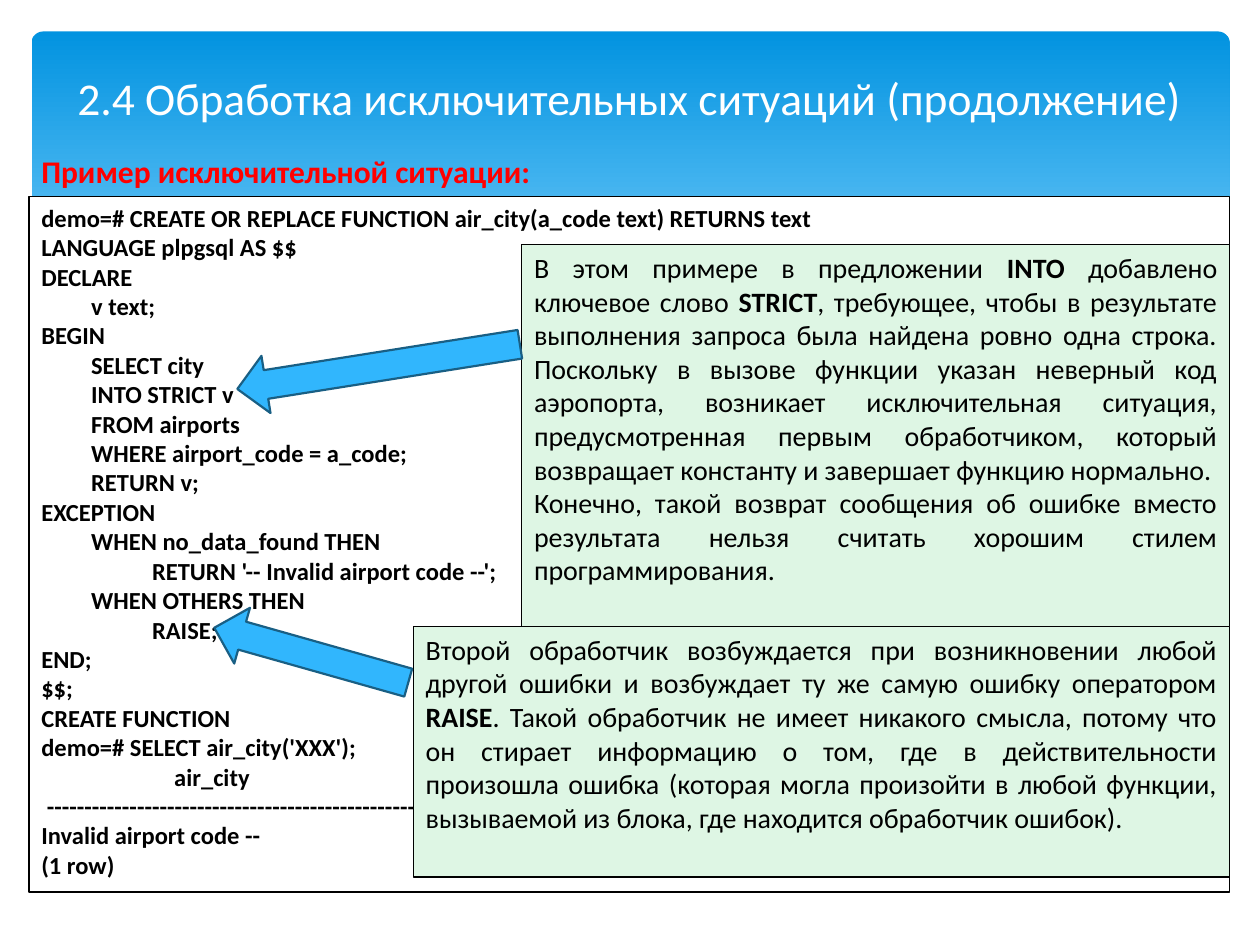
from dataclasses import dataclass
from pptx import Presentation
from pptx.dml.color import RGBColor
from pptx.enum.shapes import MSO_SHAPE
from pptx.enum.text import MSO_ANCHOR, PP_ALIGN
from pptx.util import Inches, Pt


@dataclass(frozen=True)
class Theme:
    """Colours, type sizes and line widths of the slide."""
    font: str = "Calibri"
    white: str = "FFFFFF"
    black: str = "000000"
    red: str = "FF0000"
    mint: str = "DEF6E4"
    sky: str = "31B6FD"
    navy: str = "195F84"
    top: str = "0293E0"
    low: str = "83D3FE"
    title: int = 26
    head: int = 18
    note: int = 16
    code: int = 14
    thin: float = 0.75
    thick: float = 1.25


THEME = Theme()
COLS, ROWS = 100, 75
WIDE, HIGH = Inches(10), Inches(7.5)
LEFT, RIGHT = 2.3, 97.6

CODE = """demo=# CREATE OR REPLACE FUNCTION air_city(a_code text) RETURNS text
LANGUAGE plpgsql AS $$
DECLARE
         v text;
BEGIN
         SELECT city
         INTO STRICT v
         FROM airports
         WHERE airport_code = a_code;
         RETURN v;
EXCEPTION
         WHEN no_data_found THEN
                    RETURN '-- Invalid airport code --';
         WHEN OTHERS THEN
                    RAISE;
END;
$$;
CREATE FUNCTION
demo=# SELECT air_city('XXX');
                        air_city
 ----------------------------------------------------
Invalid airport code --
(1 row)"""

STRICT = (
    "В этом примере в предложении **INTO **добавлено ключевое слово **STRICT**, "
    "требующее, чтобы в результате выполнения запроса была найдена ровно одна строка. "
    "Поскольку в вызове функции указан неверный код аэропорта, возникает исключительная "
    "ситуация, предусмотренная первым обработчиком, который возвращает константу и "
    "завершает функцию нормально.\n"
    "Конечно, такой возврат сообщения об ошибке вместо результата нельзя считать "
    "хорошим стилем программирования."
)
RAISE = (
    "Второй обработчик возбуждается при возникновении любой другой ошибки и возбуждает "
    "ту же самую ошибку оператором **RAISE**. Такой обработчик не имеет никакого смысла, "
    "потому что он стирает информацию о том, где в действительности произошла ошибка "
    "(которая могла произойти в любой функции, вызываемой из блока, где находится "
    "обработчик ошибок)."
)


def rgb(code):
    """Turn a hex code into a colour."""
    return RGBColor.from_string(code)


def area(left, top, right, low):
    """Turn grid edges into left, top, width and height."""
    col, row = WIDE / COLS, HIGH / ROWS
    return [round(n) for n in (left * col, top * row, (right - left) * col, (low - top) * row)]


def add_shape(slide, kind, edges, fill=None, line=None, width=THEME.thin):
    """Add a flat preset shape."""
    shape = slide.shapes.add_shape(kind, *area(*edges))
    shape.shadow.inherit = False
    if fill:
        shape.fill.solid()
        shape.fill.fore_color.rgb = rgb(fill)
    if line:
        shape.line.color.rgb = rgb(line)
        shape.line.width = Pt(width)
    else:
        shape.line.fill.background()
    return shape


def write(shape, text, size, color, align, bold=False):
    """Write lines of text, with bold switched at each double star."""
    frame = shape.text_frame
    frame.word_wrap = True
    frame.vertical_anchor = MSO_ANCHOR.TOP
    for num, line in enumerate(text.split("\n")):
        para = frame.paragraphs[0] if num == 0 else frame.add_paragraph()
        para.alignment = align
        for part, words in enumerate(line.split("**")):
            run = para.add_run()
            run.text = words
            run.font.name, run.font.size = THEME.font, Pt(size)
            run.font.bold = bold or part % 2 == 1
            run.font.color.rgb = rgb(color)


def add_band(slide):
    """Add the rounded gradient band behind the title."""
    band = add_shape(slide, MSO_SHAPE.ROUNDED_RECTANGLE, (2.5, 2.5, RIGHT, 29.5))
    band.adjustments[0] = 0.034
    band.fill.gradient()
    band.fill.gradient_angle = 270
    for stop, color, share in zip(band.fill.gradient_stops, (THEME.top, THEME.low), (0, 0.9)):
        stop.color.rgb = rgb(color)
        stop.position = share


def add_label(slide, edges, text, size, color, align, bold=False):
    """Add a plain text box."""
    label = slide.shapes.add_textbox(*area(*edges))
    write(label, text, size, color, align, bold)
    return label


def add_panel(slide, edges, fill, text, size, align, bold=False):
    """Add an outlined box of text."""
    panel = add_shape(slide, MSO_SHAPE.RECTANGLE, edges, fill, THEME.black)
    write(panel, text, size, THEME.black, align, bold)


def add_arrow(slide, edges, turn):
    """Add a turned block arrow."""
    arrow = add_shape(slide, MSO_SHAPE.RIGHT_ARROW, edges, THEME.sky, THEME.navy, THEME.thick)
    arrow.rotation = turn


def main():
    """Build and save the slide."""
    deck = Presentation()
    deck.slide_width, deck.slide_height = WIDE, HIGH
    slide = deck.slides.add_slide(deck.slide_layouts[6])
    add_band(slide)
    title = add_label(slide, (0, 5.5, COLS, 10), "2.4 Обработка исключительных ситуаций (продолжение)",
                      THEME.title, THEME.white, PP_ALIGN.CENTER)
    title.text_frame.vertical_anchor = MSO_ANCHOR.MIDDLE
    title.text_frame.margin_top = title.text_frame.margin_bottom = 0
    add_label(slide, (LEFT, 11.6, RIGHT, 15.6), "Пример исключительной ситуации:",
              THEME.head, THEME.red, PP_ALIGN.JUSTIFY, True)
    add_panel(slide, (LEFT, 15.6, RIGHT, 70.8), THEME.white, CODE, THEME.code, PP_ALIGN.LEFT, True)
    for edges, text in (((41.4, 19.4, RIGHT, 50), STRICT), ((32.8, 49.7, RIGHT, 69.6), RAISE)):
        add_panel(slide, edges, THEME.mint, text, THEME.note, PP_ALIGN.JUSTIFY)
    add_arrow(slide, (18.7, 26.8, 41.4, 31.4), 171)
    add_arrow(slide, (16.7, 49.7, 32.7, 54.3), 195.8)
    deck.save("out.pptx")


if __name__ == "__main__":
    main()
